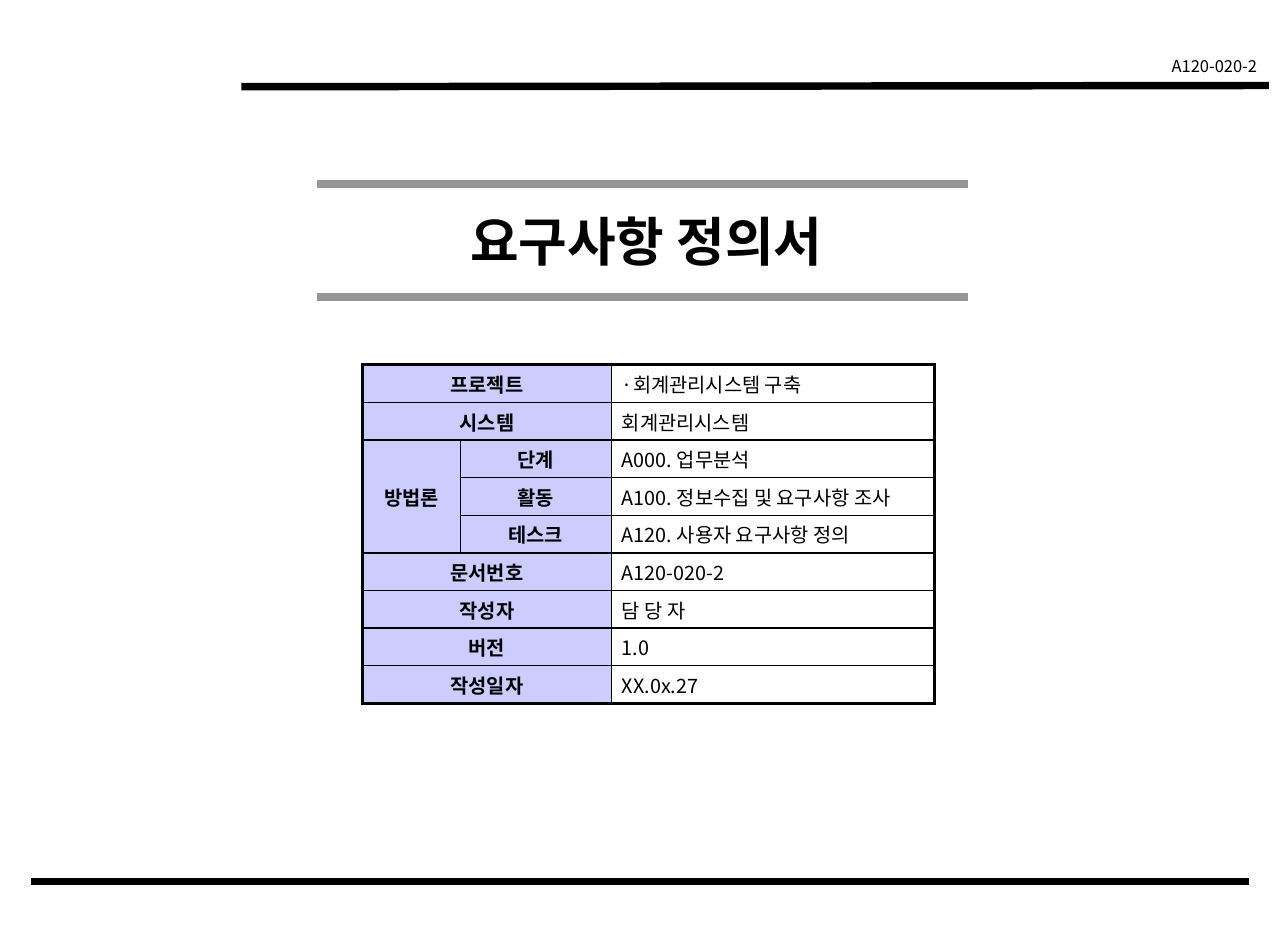
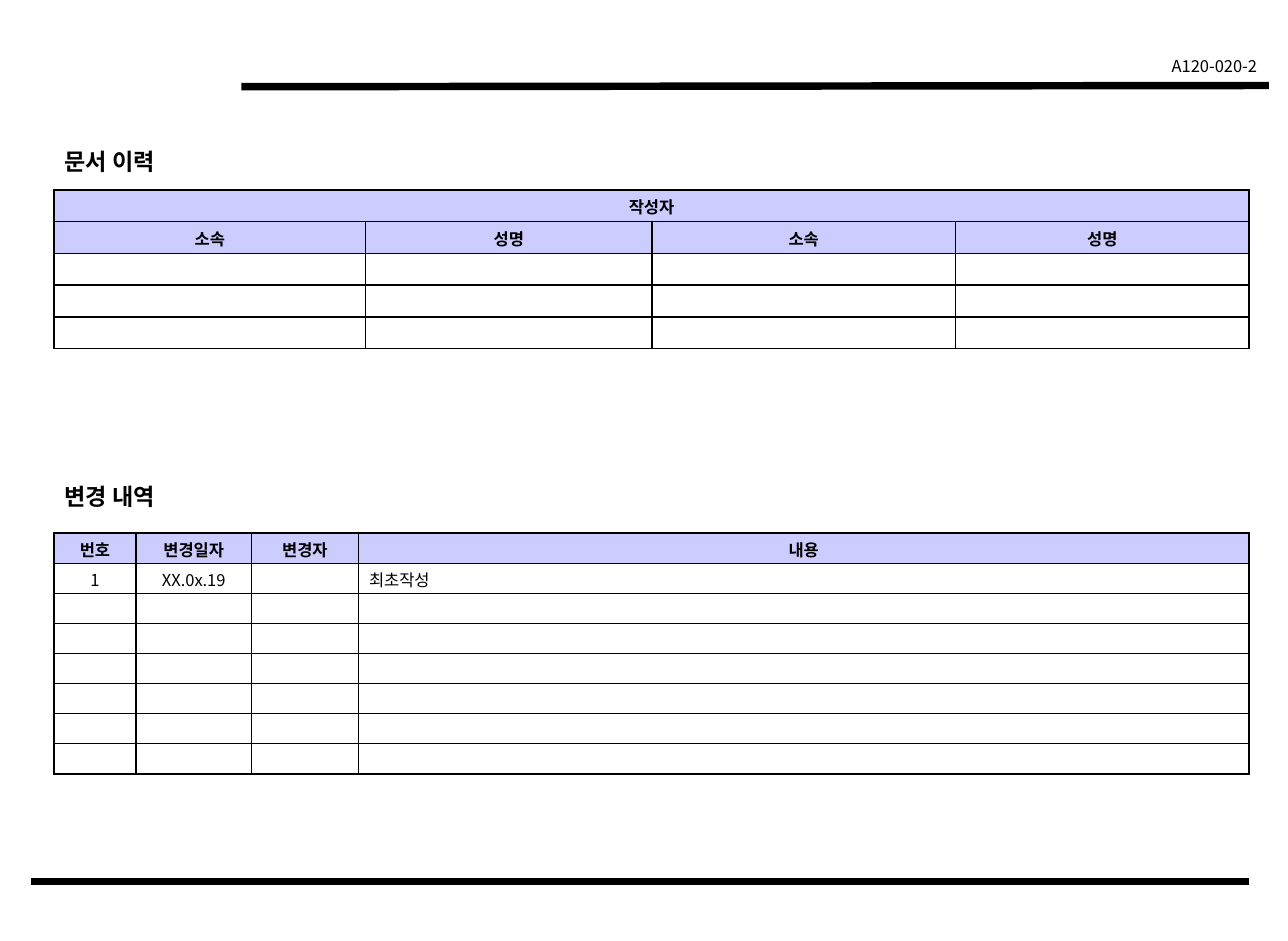
from lxml import etree
from pptx import Presentation
from pptx import util as u
from pptx.dml import color
from pptx.enum import shapes, text
from pptx.oxml import ns

WIDE, HIGH = u.Pt(780), u.Pt(570)
FONT = "Noto Sans CJK KR"
HUES = {"ink": "000000", "rule": "969696", "head": "CCCCFF"}
CODE = "A120-020-2"
LEFT, MID, RIGHT = text.PP_ALIGN.LEFT, text.PP_ALIGN.CENTER, text.PP_ALIGN.RIGHT


def across(share):
    return u.Emu(round(WIDE * share / 100))


def down(share):
    return u.Emu(round(HIGH * share / 100))


def hue(name):
    return color.RGBColor.from_string(HUES[name])


def style(para, size, bold=False, align=LEFT):
    para.alignment = align
    font = para.font
    font.size, font.bold, font.name = u.Pt(size), bold, FONT
    font.color.rgb = hue("ink")
    props = para._p.pPr.find(ns.qn("a:defRPr"))
    etree.SubElement(props, ns.qn("a:ea"), typeface=FONT)


def write(shape, words, box, size, bold=True, align=LEFT):
    x, y, w, h = box
    shape.left, shape.top = across(x), down(y)
    shape.width, shape.height = across(w), down(h)
    frame = shape.text_frame
    frame.word_wrap = False
    frame.auto_size = text.MSO_AUTO_SIZE.NONE
    frame.vertical_anchor = text.MSO_ANCHOR.MIDDLE
    frame.margin_left = frame.margin_right = u.Inches(0.09)
    frame.margin_top = frame.margin_bottom = u.Inches(0.04)
    frame.text = words
    style(frame.paragraphs[0], size, bold, align)


def label(slide, *args, **opts):
    shape = slide.shapes.add_textbox(0, 0, 0, 0)
    write(shape, *args, **opts)
    return shape


def rule(slide, x1, y1, x2, y2, name):
    line = slide.shapes.add_connector(
        shapes.MSO_CONNECTOR.STRAIGHT, across(x1), down(y1), across(x2), down(y2))
    line.line.color.rgb = hue(name)
    line.line.width = u.Pt(4.5)
    etree.SubElement(line.element.spPr, ns.qn("a:effectLst"))
    return line


def border(cell, widths):
    props = cell._tc.get_or_add_tcPr()
    for side, width in zip("LRTB", widths):
        line = etree.SubElement(props, ns.qn("a:ln" + side), w=str(u.Pt(width)))
        fill = etree.SubElement(line, ns.qn("a:solidFill"))
        etree.SubElement(fill, ns.qn("a:srgbClr"), val=HUES["ink"])


def fill(cell, words, size, head, align):
    cell.margin_left = cell.margin_right = u.Inches(0.09)
    cell.margin_top, cell.margin_bottom = u.Inches(0.04), 0
    if head:
        cell.fill.solid()
        cell.fill.fore_color.rgb = hue("head")
    else:
        cell.fill.background()
    cell.text = words
    para = cell.text_frame.paragraphs[0]
    style(para, size, head, MID if head else align)
    if not words:
        etree.SubElement(para._p, ns.qn("a:endParaRPr"), sz=str(size * 100))


def grid(slide, x, y, cols, high, rows, size, heads, spans=(), edge=1, aligns=None):
    aligns = aligns or [LEFT] * len(cols)
    table = slide.shapes.add_table(
        len(rows), len(cols), across(x), down(y),
        across(sum(cols)), down(high * len(rows))).table
    table.first_row = table.horz_banding = False
    for col, share in zip(table.columns, cols):
        col.width = across(share)
    for r, row in enumerate(rows):
        table.rows[r].height = down(high)
        for c, words in enumerate(row):
            cell = table.cell(r, c)
            ends = (c == 0, c == len(cols) - 1, r == 0, r == len(rows) - 1)
            border(cell, [edge if end else 1 for end in ends])
            fill(cell, words, size, heads(r, c), aligns[c])
    for top, left, bottom, right in spans:
        table.cell(top, left).merge(table.cell(bottom, right))
    return table


def share(slide, layout):
    for holder in list(layout.placeholders):
        if holder.placeholder_format.type != shapes.PP_PLACEHOLDER.TITLE:
            holder.element.getparent().remove(holder.element)
    parts = [
        rule(slide, 18.74, 9.22, 98.52, 9.09, "ink"),
        label(slide, CODE, (88.46, 5.25, 9.97, 3.41), 10, bold=False, align=RIGHT),
        rule(slide, 2.4, 93.69, 96.95, 93.69, "ink"),
    ]
    for part in parts:
        layout.shapes.element.append(part.element)


def cover(slide):
    write(slide.shapes.title, "요구사항 정의서", (34.63, 21.59, 31.12, 7.83), 32, align=MID)
    for y in (19.57, 31.57):
        rule(slide, 24.65, y, 75.16, y, "rule")
    rows = [
        ("프로젝트", "", "·회계관리시스템 구축"),
        ("시스템", "", "회계관리시스템"),
        ("방법론", "단계", "A000. 업무분석"),
        ("", "활동", "A100. 정보수집 및 요구사항 조사"),
        ("", "테스크", "A120. 사용자 요구사항 정의"),
        ("문서번호", "", CODE),
        ("작성자", "", "담 당 자"),
        ("버전", "", "1.0"),
        ("작성일자", "", "XX.0x.27"),
    ]
    spans = [(r, 0, r, 1) for r in (0, 1, 5, 6, 7, 8)] + [(2, 0, 4, 0)]
    table = grid(slide, 28.16, 38.76, (7.57, 11.73, 25.12), 4, rows, 12,
                 lambda r, c: c < 2, spans, edge=2.25)
    method = table.cell(2, 0)
    method.vertical_anchor = text.MSO_ANCHOR.MIDDLE
    method.margin_bottom = method.margin_top


def history(slide):
    write(slide.shapes.title, "문서 이력", (4.16, 15.1, 9.23, 4.04), 14)
    label(slide, "변경 내역", (4.16, 50.72, 9.23, 4.04), 14)
    blank = ("",) * 4
    authors = [("작성자", "", "", ""), ("소속", "성명") * 2] + [blank] * 3
    grid(slide, 4.19, 20.2, (24.19, 22.25, 23.55, 22.81), 3.37, authors, 10,
         lambda r, c: r < 2, [(0, 0, 0, 3)])
    changes = [("번호", "변경일자", "변경자", "내용"),
               ("1", "XX.0x.19", "", "최초작성")] + [blank] * 6
    grid(slide, 4.19, 56.66, (6.37, 8.96, 8.31, 69.16), 3.2, changes, 10,
         lambda r, c: r == 0, aligns=(MID, MID, MID, LEFT))


def main():
    deck = Presentation()
    deck.slide_width, deck.slide_height = WIDE, HIGH
    layout = deck.slide_layouts[5]
    first, second = [deck.slides.add_slide(layout) for _ in range(2)]
    share(first, layout)
    cover(first)
    history(second)
    deck.save("out.pptx")


if __name__ == "__main__":
    main()
